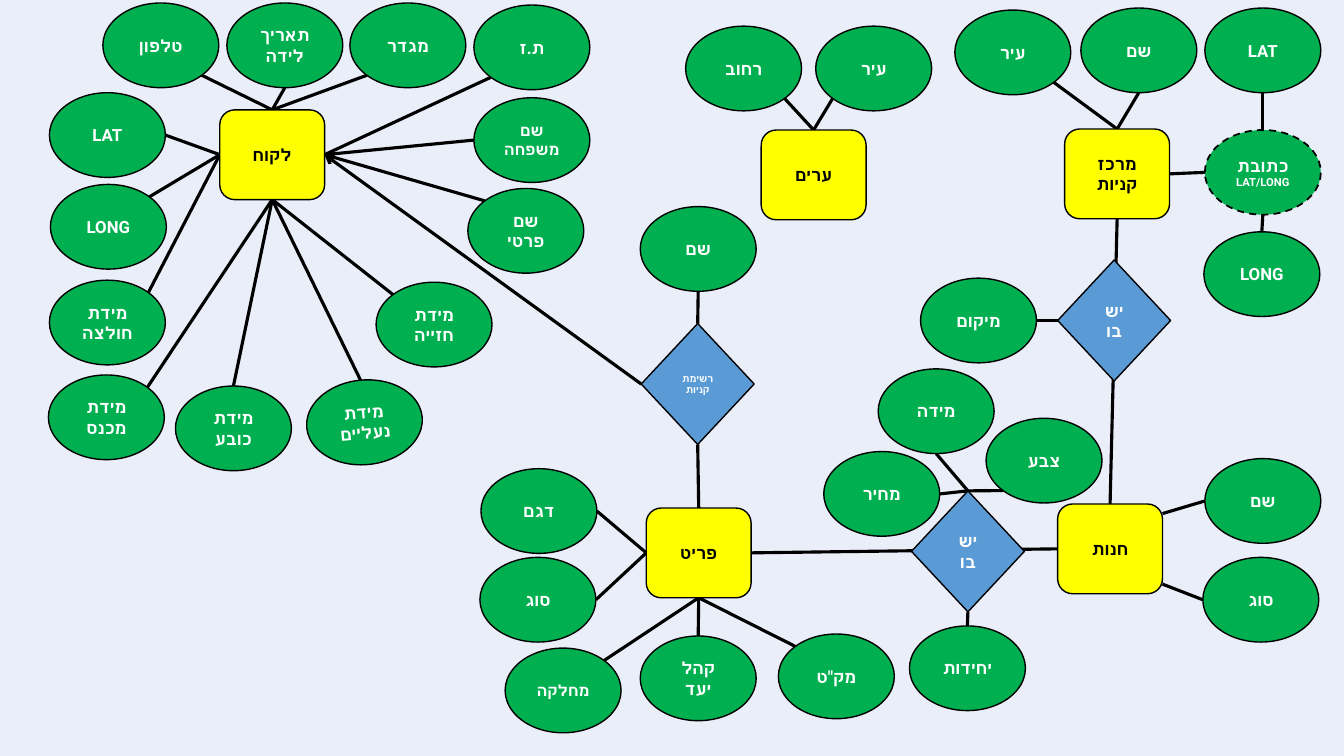
from dataclasses import dataclass
from enum import IntEnum
from math import cos, radians, sin

from lxml.etree import SubElement
from pptx import Presentation
from pptx.dml.color import RGBColor
from pptx.enum.dml import MSO_LINE
from pptx.enum.shapes import MSO_CONNECTOR, MSO_SHAPE
from pptx.enum.text import MSO_ANCHOR, PP_ALIGN
from pptx.oxml.ns import qn
from pptx.shapes.autoshape import Shape
from pptx.shapes.connector import Connector
from pptx.slide import Slide
from pptx.util import Inches, Pt

BACKGROUND = RGBColor(0xE9, 0xEE, 0xF8)
GREEN = RGBColor(0x00, 0xB0, 0x50)
YELLOW = RGBColor(0xFF, 0xFF, 0x00)
BLUE = RGBColor(0x5B, 0x9B, 0xD5)
BLACK = RGBColor(0x00, 0x00, 0x00)
WHITE = RGBColor(0xFF, 0xFF, 0xFF)
FONT = "Roboto"


class Side(IntEnum):
    TOP = 0
    TOP_LEFT = 1
    LEFT = 2
    BOTTOM_LEFT = 3
    BOTTOM = 4
    BOTTOM_RIGHT = 5
    RIGHT = 6
    TOP_RIGHT = 7


@dataclass(frozen=True)
class Kind:
    preset: MSO_SHAPE
    width: float
    height: float
    fill: RGBColor
    text: RGBColor


ENTITY = Kind(MSO_SHAPE.ROUNDED_RECTANGLE, 1.04, 0.89, YELLOW, BLACK)
RELATION = Kind(MSO_SHAPE.DIAMOND, 1.12, 1.2, BLUE, WHITE)
ATTRIBUTE = Kind(MSO_SHAPE.OVAL, 1.15, 0.84, GREEN, WHITE)


@dataclass(frozen=True)
class Node:
    kind: Kind
    label: str
    left: float
    top: float
    sizes: tuple[int, ...] = (12,)
    rotation: float = 0
    dashed: bool = False


@dataclass(frozen=True)
class Attribute:
    node: Node
    side: Side
    owner_side: Side
    owner_shift: float = 0


@dataclass(frozen=True)
class Link:
    begin: str
    begin_side: Side
    end: str
    end_side: Side
    arrow: bool = False


def attribute(label: str, left: float, top: float, side: Side, owner_side: Side,
              shift: float = 0, size: int = 12, rotation: float = 0) -> Attribute:
    node = Node(ATTRIBUTE, label, left, top, (size,), rotation)
    return Attribute(node, side, owner_side, shift)


HUBS = {
    "customer": Node(ENTITY, "לקוח", 2.18, 1.09),
    "cities": Node(ENTITY, "ערים", 7.55, 1.29),
    "mall": Node(ENTITY, "מרכז קניות", 10.56, 1.28),
    "store": Node(ENTITY, "חנות", 10.49, 5),
    "item": Node(ENTITY, "פריט", 6.41, 5.04),
    "shopping_list": Node(RELATION, "רשימת קניות", 6.36, 3.21, (7,)),
    "mall_store": Node(RELATION, "יש בו", 10.49, 2.58),
    "store_item": Node(RELATION, "יש בו", 9.04, 4.87),
    "address": Node(ATTRIBUTE, "כתובת\nLAT/LONG", 11.95, 1.29, (12, 8), dashed=True),
}

LINKS = [
    Link("customer", Side.RIGHT, "shopping_list", Side.LEFT, arrow=True),
    Link("shopping_list", Side.BOTTOM, "item", Side.TOP),
    Link("item", Side.RIGHT, "store", Side.LEFT),
    Link("mall", Side.BOTTOM, "store", Side.TOP),
    Link("address", Side.LEFT, "mall", Side.RIGHT),
]

ATTRIBUTES = {
    "customer": [
        attribute("טלפון", 1.02, 0.03, Side.BOTTOM_RIGHT, Side.TOP),
        attribute("תאריך לידה", 2.25, 0.03, Side.BOTTOM, Side.TOP),
        attribute("מגדר", 3.47, 0.03, Side.BOTTOM_LEFT, Side.TOP),
        attribute("ת.ז", 4.7, 0.05, Side.BOTTOM_LEFT, Side.RIGHT),
        attribute("שם משפחה", 4.7, 0.97, Side.LEFT, Side.RIGHT, size=11),
        attribute("שם פרטי", 4.64, 1.87, Side.TOP_LEFT, Side.RIGHT),
        attribute("LAT", 0.49, 0.92, Side.RIGHT, Side.LEFT),
        attribute("LONG", 0.5, 1.83, Side.TOP_RIGHT, Side.LEFT),
        attribute("מידת חולצה", 0.49, 2.78, Side.TOP_RIGHT, Side.LEFT),
        attribute("מידת מכנס", 0.48, 3.72, Side.TOP_RIGHT, Side.BOTTOM),
        attribute("מידת כובע", 1.74, 3.83, Side.TOP, Side.BOTTOM),
        attribute("מידת נעליים", 3.04, 3.77, Side.TOP, Side.BOTTOM, rotation=354.7),
        attribute("מידת חזייה", 3.73, 2.8, Side.TOP_LEFT, Side.BOTTOM),
    ],
    "cities": [
        attribute("רחוב", 6.8, 0.26, Side.BOTTOM_RIGHT, Side.TOP),
        attribute("עיר", 8.09, 0.26, Side.BOTTOM_LEFT, Side.TOP),
    ],
    "mall": [
        attribute("עיר", 9.47, 0.1, Side.BOTTOM_RIGHT, Side.TOP),
        attribute("שם", 10.72, 0.08, Side.BOTTOM, Side.TOP),
    ],
    "address": [
        attribute("LAT", 11.95, 0.08, Side.BOTTOM, Side.TOP),
        attribute("LONG", 11.94, 2.3, Side.TOP, Side.BOTTOM),
    ],
    "store": [
        attribute("שם", 11.95, 4.55, Side.LEFT, Side.RIGHT, shift=-0.35),
        attribute("סוג", 11.93, 5.53, Side.LEFT, Side.RIGHT, shift=0.35),
    ],
    "item": [
        attribute("דגם", 4.77, 4.65, Side.RIGHT, Side.LEFT),
        attribute("סוג", 4.76, 5.53, Side.RIGHT, Side.LEFT),
        attribute("מחלקה", 5.01, 6.43, Side.TOP_RIGHT, Side.BOTTOM, size=11),
        attribute("קהל יעד", 6.35, 6.31, Side.TOP, Side.BOTTOM),
        attribute('מק"ט', 7.72, 6.29, Side.TOP_LEFT, Side.BOTTOM),
    ],
    "shopping_list": [attribute("שם", 6.35, 2.05, Side.BOTTOM, Side.TOP)],
    "mall_store": [attribute("מיקום", 9.13, 2.76, Side.RIGHT, Side.LEFT)],
    "store_item": [
        attribute("מידה", 8.71, 3.66, Side.BOTTOM, Side.TOP),
        attribute("מחיר", 8.17, 4.48, Side.RIGHT, Side.TOP),
        attribute("צבע", 9.78, 4.15, Side.BOTTOM_LEFT, Side.TOP),
        attribute("יחידות", 9.02, 6.21, Side.TOP, Side.BOTTOM),
    ],
}


def draw_node(slide: Slide, node: Node) -> Shape:
    kind = node.kind
    shape = slide.shapes.add_shape(kind.preset, Inches(node.left), Inches(node.top),
                                   Inches(kind.width), Inches(kind.height))
    shape.rotation = node.rotation
    shape.shadow.inherit = False
    shape.fill.solid()
    shape.fill.fore_color.rgb = kind.fill
    shape.line.color.rgb = BLACK
    shape.line.width = Pt(1.25 if node.dashed else 1)
    if node.dashed:
        shape.line.dash_style = MSO_LINE.DASH
    text_frame = shape.text_frame
    text_frame.text = node.label
    text_frame.word_wrap = True
    text_frame.vertical_anchor = MSO_ANCHOR.MIDDLE
    for paragraph, size in zip(text_frame.paragraphs, node.sizes):
        paragraph.alignment = PP_ALIGN.CENTER
        paragraph._p.get_or_add_pPr().set("rtl", "1")
        font = paragraph.runs[0].font
        font.name, font.size, font.bold = FONT, Pt(size), True
        font.color.rgb = kind.text
        SubElement(font._element, qn("a:cs"), typeface=FONT)
    return shape


def site(shape: Shape, side: Side) -> tuple[int, int]:
    angle, turn = radians(90 + 45 * side), radians(shape.rotation)
    across, down = shape.width / 2 * cos(angle), -shape.height / 2 * sin(angle)
    x = shape.left + shape.width / 2 + across * cos(turn) - down * sin(turn)
    y = shape.top + shape.height / 2 + across * sin(turn) + down * cos(turn)
    return round(x), round(y)


def glue(connector: Connector, tag: str, shape: Shape, side: Side) -> None:
    index = side if shape.auto_shape_type == MSO_SHAPE.OVAL else side // 2
    properties = connector.element.find(".//" + qn("p:cNvCxnSpPr"))
    SubElement(properties, qn(tag), id=str(shape.shape_id), idx=str(int(index)))


def draw_line(slide: Slide, begin: Shape, begin_side: Side, end: Shape, end_side: Side,
              end_shift: float = 0, arrow: bool = False) -> None:
    end_x, end_y = site(end, end_side)
    connector = slide.shapes.add_connector(MSO_CONNECTOR.STRAIGHT, *site(begin, begin_side),
                                           end_x, end_y + Inches(end_shift))
    connector.line.color.rgb = BLACK
    connector.line.width = Pt(2.25)
    if arrow:
        SubElement(connector.line._get_or_add_ln(), qn("a:headEnd"), type="arrow")
    SubElement(connector.element.spPr, qn("a:effectLst"))
    glue(connector, "a:stCxn", begin, begin_side)
    if not end_shift:
        glue(connector, "a:endCxn", end, end_side)
    slide.shapes.element.insert(2, connector.element)


presentation = Presentation()
presentation.slide_width, presentation.slide_height = Inches(13.33), Inches(7.5)
slide = presentation.slides.add_slide(presentation.slide_layouts[6])
slide.background.fill.solid()
slide.background.fill.fore_color.rgb = BACKGROUND

hubs = {name: draw_node(slide, node) for name, node in HUBS.items()}
for link in LINKS:
    draw_line(slide, hubs[link.begin], link.begin_side, hubs[link.end], link.end_side,
              arrow=link.arrow)
for owner, attributes in ATTRIBUTES.items():
    for item in attributes:
        draw_line(slide, draw_node(slide, item.node), item.side, hubs[owner],
                  item.owner_side, item.owner_shift)

presentation.save("out.pptx")
